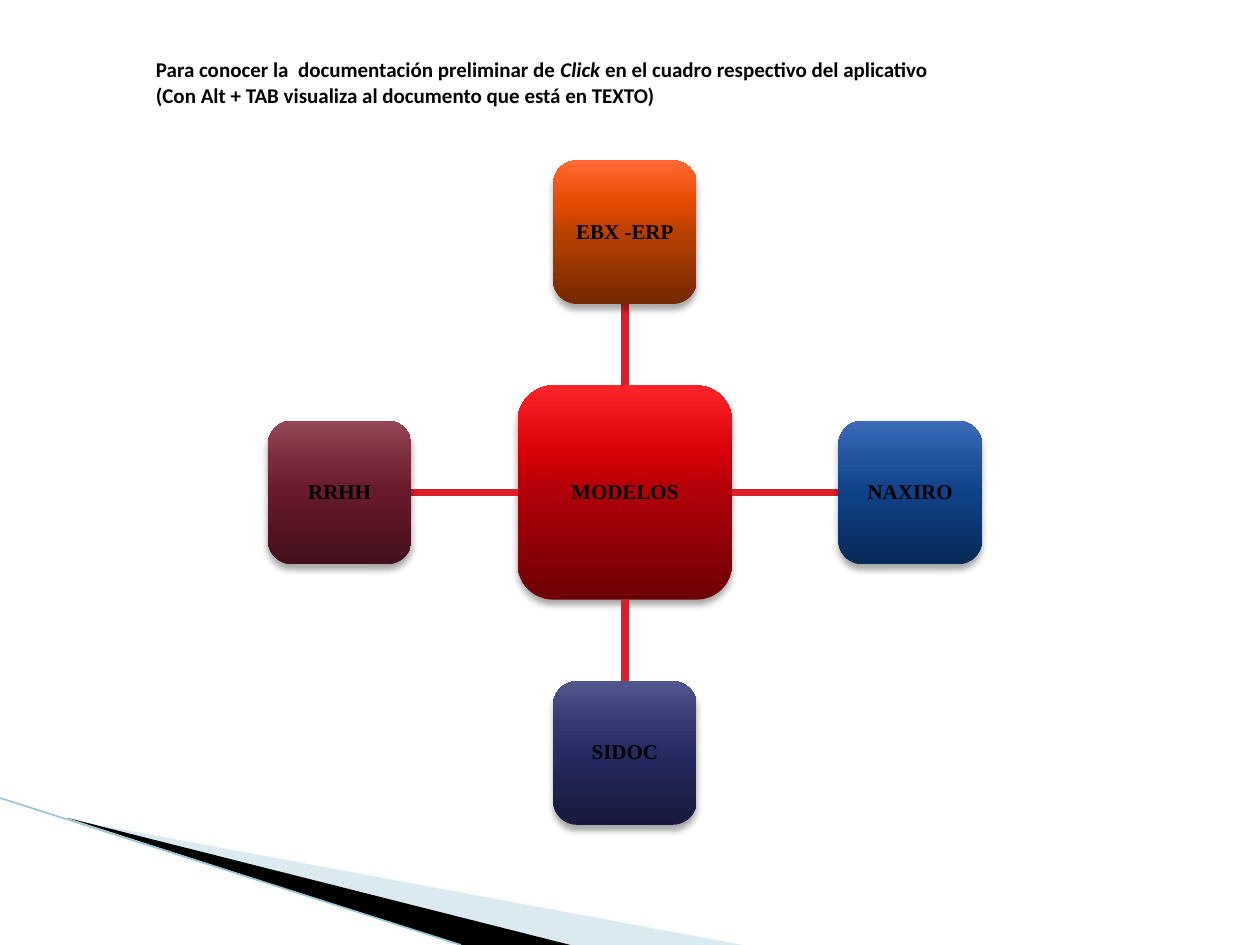
from lxml import etree
from pptx import Presentation
from pptx.dml.color import RGBColor
from pptx.enum.shapes import MSO_CONNECTOR, MSO_SHAPE
from pptx.enum.text import MSO_ANCHOR, PP_ALIGN
from pptx.oxml.ns import qn
from pptx.util import Pt

ROUNDED = MSO_SHAPE.ROUNDED_RECTANGLE
STRAIGHT = MSO_CONNECTOR.STRAIGHT
MIDDLE = MSO_ANCHOR.MIDDLE
CENTER = PP_ALIGN.CENTER

THEME = {
    "text": "000000", "link": "DA1F28", "wing": "A0CBDC", "blade": "000000",
    "edge": "97C5D8", "shadow": "000000",
    "red": ("6D0005", "B00008", "DA0008", "FF2429"),
    "orange": ("732800", "B94100", "E64900", "FF6933"),
    "blue": ("072956", "104288", "205199", "3D6BB9"),
    "indigo": ("171A3D", "262B61", "353970", "51568D"),
    "wine": ("420F1A", "681A2B", "772939", "944755"),
    "size": 12, "heading_font": "Calibri", "box_font": "Times New Roman",
}
GRADIENT_STOPS = (0, 50, 70, 100)

prs = Presentation()
prs.slide_width, prs.slide_height = Pt(720), Pt(540)
slide = prs.slides.add_slide(prs.slide_layouts[6])
shapes = slide.shapes


def add_link(start, end, color, width):
    """Draw a straight line without shadow between two points."""
    link = shapes.add_connector(STRAIGHT, *(Pt(v) for v in (*start, *end)))
    link.line.color.rgb = RGBColor.from_string(color)
    link.line.width = Pt(width)
    etree.SubElement(link._element.spPr, qn("a:effectLst"))


def add_box(label, center, side, colors):
    """Draw a glossy rounded square with its label around a center."""
    box = shapes.add_shape(ROUNDED, Pt(center[0] - side / 2),
                           Pt(center[1] - side / 2), Pt(side), Pt(side))
    box.fill.gradient()
    box.fill.gradient_angle = 90
    box.line.fill.background()
    box.shadow.inherit = False
    properties = box._element.spPr

    stops = properties.find(".//" + qn("a:gsLst"))
    for old_stop in list(stops):
        stops.remove(old_stop)
    for position, color in zip(GRADIENT_STOPS, colors):
        stop = etree.SubElement(stops, qn("a:gs"), pos=str(position * 1000))
        etree.SubElement(stop, qn("a:srgbClr"), val=color)

    shadow = etree.SubElement(properties.find(qn("a:effectLst")), qn("a:outerShdw"),
                              blurRad=str(Pt(4)), dist=str(Pt(3)),
                              dir="5400000", rotWithShape="0")
    shade = etree.SubElement(shadow, qn("a:srgbClr"), val=THEME["shadow"])
    etree.SubElement(shade, qn("a:alpha"), val="35000")

    frame = box.text_frame
    frame.word_wrap = True
    frame.vertical_anchor = MIDDLE
    frame.margin_left = frame.margin_right = Pt(2)
    frame.margin_top = frame.margin_bottom = Pt(2)
    frame.text = label
    paragraph = frame.paragraphs[0]
    paragraph.alignment = CENTER
    paragraph.line_spacing = 0.9
    font = paragraph.runs[0].font
    font.name, font.size, font.bold = THEME["box_font"], Pt(THEME["size"]), True
    font.color.rgb = RGBColor.from_string(THEME["text"])


# Corner decoration
corner = (
    ("wing", 40, ((39.6, 468.3), (424.6, 540), (326, 540))),
    ("blade", 100, ((38.2, 467.3), (326, 540), (263.4, 540))),
)
for part, opacity, points in corner:
    start, *others = [(Pt(x), Pt(y)) for x, y in points]
    builder = shapes.build_freeform(*start)
    builder.add_line_segments(others)
    triangle = builder.convert_to_shape()
    triangle.shadow.inherit = False
    triangle.line.fill.background()
    triangle.fill.solid()
    triangle.fill.fore_color.rgb = RGBColor.from_string(THEME[part])
    if opacity < 100:
        tint = triangle._element.spPr.find(".//" + qn("a:srgbClr"))
        etree.SubElement(tint, qn("a:alpha"), val=str(opacity * 1000))
add_link((0, 456), (263.4, 540), THEME["edge"], 0.95)

# Hub with one box in each direction
HUB = (357.1, 281.5)
HUB_SIDE, BOX_SIDE = 122.4, 82
REACH_X, REACH_Y = 163, 148.8
systems = (
    ("EBX -ERP", 0, -1, "orange"),
    ("NAXIRO", 1, 0, "blue"),
    ("SIDOC", 0, 1, "indigo"),
    ("RRHH", -1, 0, "wine"),
)
add_box("MODELOS", HUB, HUB_SIDE, THEME["red"])
for label, dx, dy, palette in systems:
    center = (HUB[0] + dx * REACH_X, HUB[1] + dy * REACH_Y)
    hub_edge = (HUB[0] + dx * HUB_SIDE / 2, HUB[1] + dy * HUB_SIDE / 2)
    box_edge = (center[0] - dx * BOX_SIDE / 2, center[1] - dy * BOX_SIDE / 2)
    add_link(hub_edge, box_edge, THEME["link"], 4.33)
    add_box(label, center, BOX_SIDE, THEME[palette])

# Instructions
instructions = shapes.add_textbox(Pt(82), Pt(29), Pt(544.5), Pt(36)).text_frame
instructions.word_wrap = True
lines = (
    (("Para conocer la  documentación preliminar de ", False), ("Click", True),
     (" en el cuadro respectivo del aplicativo ", False)),
    (("(Con Alt + TAB visualiza al documento que está en TEXTO)", False),),
)
instructions.add_paragraph()
for paragraph, pieces in zip(instructions.paragraphs, lines):
    for words, italic in pieces:
        run = paragraph.add_run()
        run.text = words
        font = run.font
        font.name, font.size = THEME["heading_font"], Pt(THEME["size"])
        font.bold, font.italic = True, italic
        font.color.rgb = RGBColor.from_string(THEME["text"])

prs.save("out.pptx")
